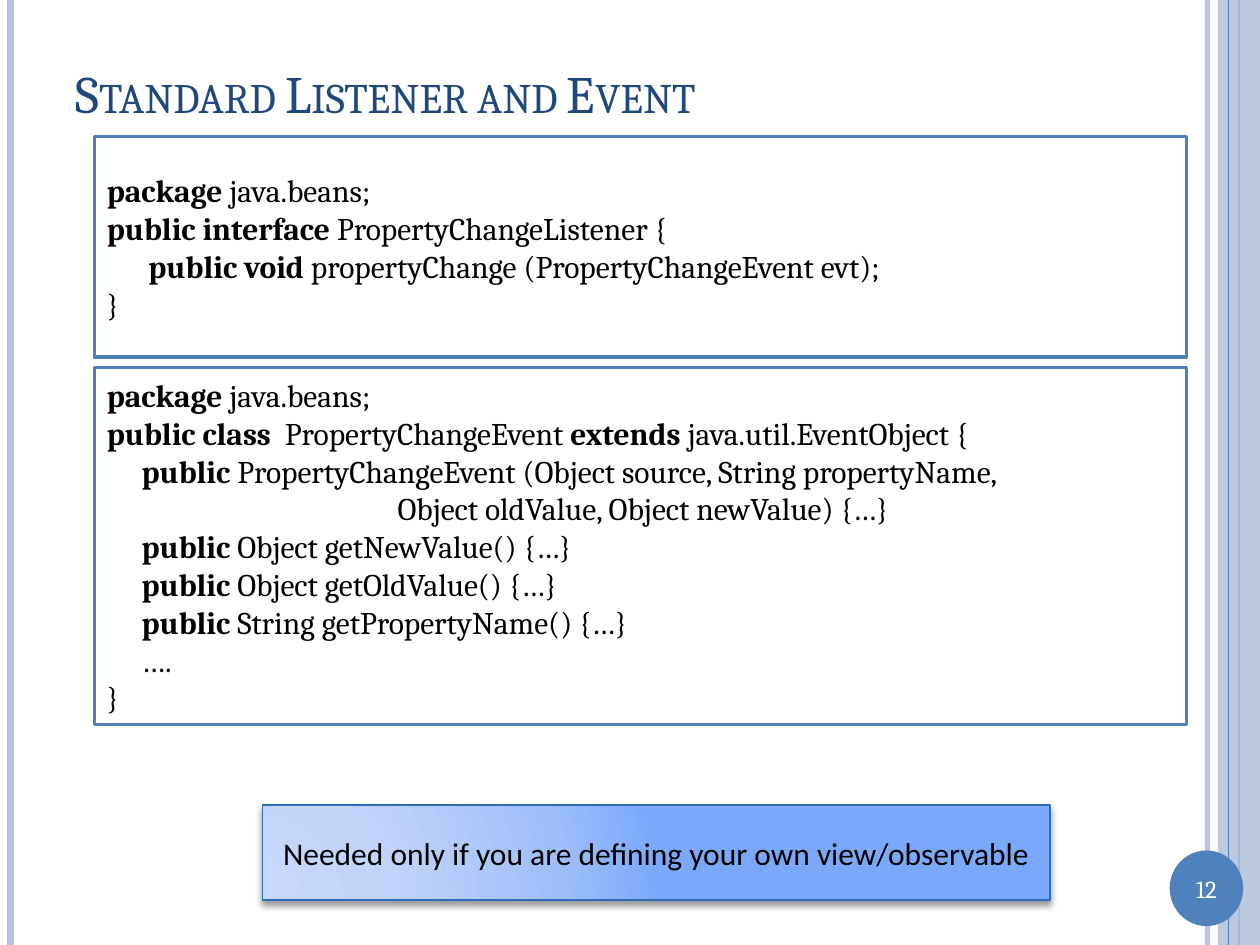
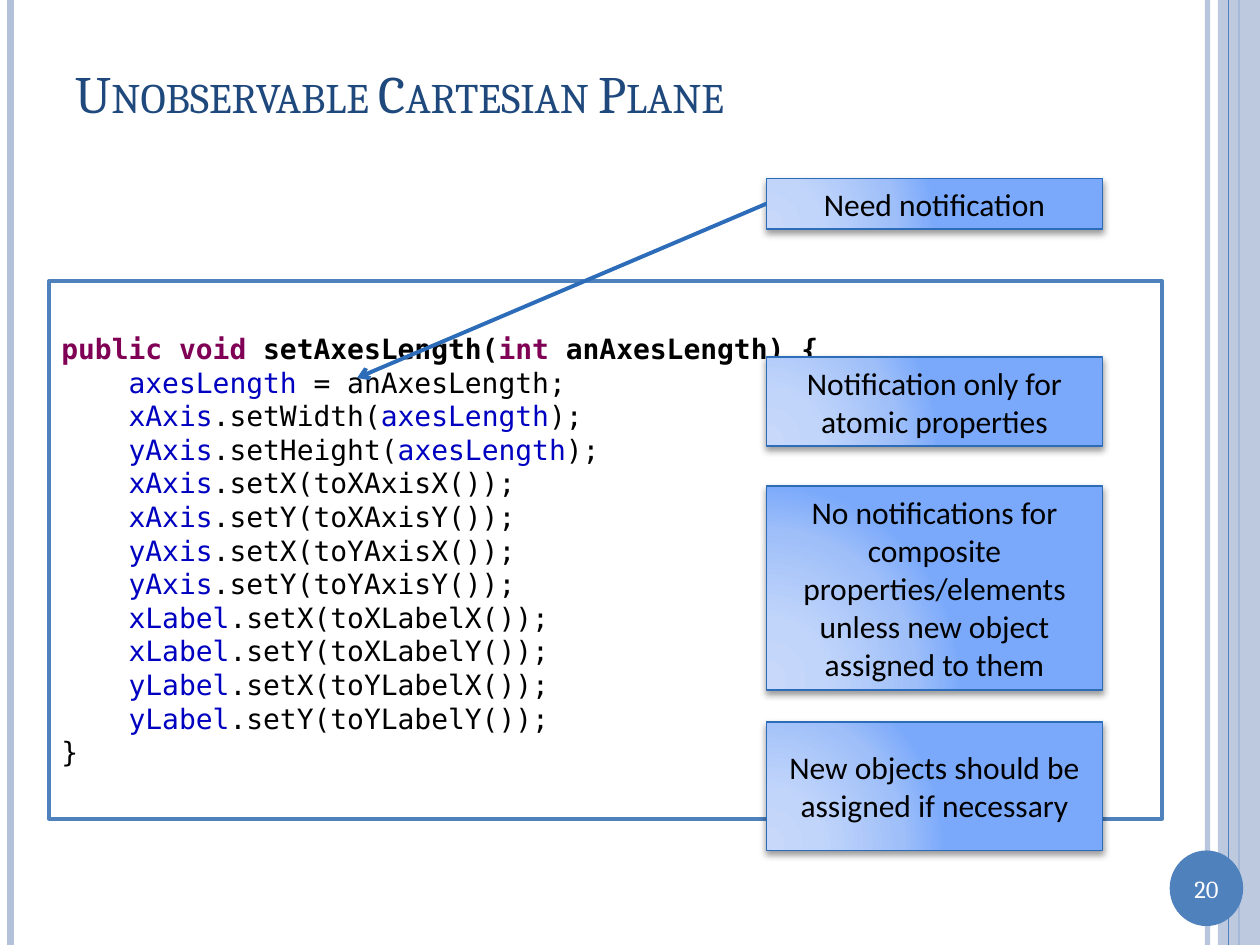
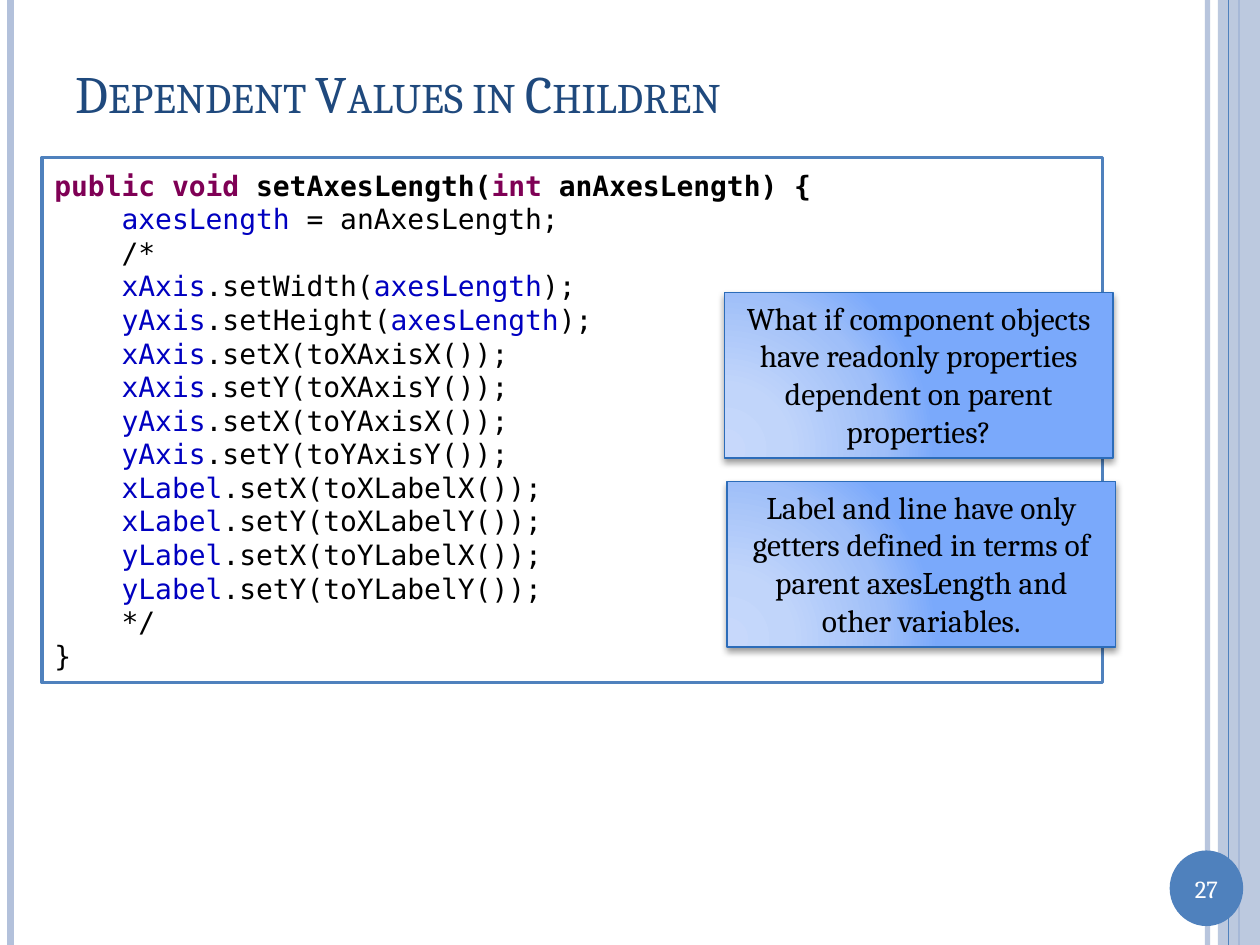
from lxml import etree
from pptx import Presentation
from pptx.dml.color import RGBColor
from pptx.enum.shapes import MSO_CONNECTOR, MSO_SHAPE
from pptx.enum.text import MSO_ANCHOR, PP_ALIGN
from pptx.oxml import parse_xml
from pptx.oxml.ns import nsdecls, qn
from pptx.util import Inches, Pt

RECTANGLE, OVAL, STRAIGHT = MSO_SHAPE.RECTANGLE, MSO_SHAPE.OVAL, MSO_CONNECTOR.STRAIGHT
LEFT, CENTER = PP_ALIGN.LEFT, PP_ALIGN.CENTER
TOP, MIDDLE = MSO_ANCHOR.TOP, MSO_ANCHOR.MIDDLE
COLUMNS, ROWS = 120, 90

NAVY, BLUE, PALE, NOTE_EDGE = "1F497D", "4F81BD", "B3C1DB", "2C6CB9"
WHITE, BLACK, KEYWORD, FIELD = "FFFFFF", "000000", "7F0055", "0000C0"

SERIF = {"name": "Cambria", "size": Pt(18), "color": BLACK, "bold": False}
SANS = SERIF | {"name": "Calibri"}
MONO = SERIF | {"name": "DejaVu Sans Mono", "size": Pt(16)}
NOTE = {"shape": RECTANGLE, "fill": "gradient", "line": (NOTE_EDGE, 1), "align": CENTER}
THEME = {
    "text": {
        "title": (SERIF | {"size": Pt(30), "color": NAVY},),
        "number": (SERIF | {"size": Pt(14), "color": WHITE},),
        "java": (SERIF, SERIF | {"bold": True}),
        "signature": (MONO | {"bold": True}, MONO | {"bold": True, "color": KEYWORD}),
        "body": (MONO, MONO | {"color": FIELD}),
        "sans": (SANS,),
        "serif": (SERIF,),
    },
    "box": {
        "title": {"shape": None, "align": LEFT, "anchor": MIDDLE, "inset": (0.1, 0.05)},
        "band": {"shape": RECTANGLE, "fill": PALE, "alpha": 87},
        "badge": {"shape": OVAL, "fill": BLUE, "align": CENTER, "anchor": MIDDLE, "inset": (0, 0)},
        "code": {"shape": RECTANGLE, "fill": WHITE, "line": (BLUE, 2), "align": LEFT,
                 "anchor": MIDDLE, "inset": (0.1, 0.05)},
        "note": NOTE | {"anchor": MIDDLE, "inset": (0.05, 0.05)},
        "question": NOTE | {"anchor": TOP, "inset": (0.1, 0.05)},
    },
    "line": {
        "soft": {"color": PALE, "width": 3, "alpha": 93},
        "thick": {"color": PALE, "width": 4.5},
        "medium": {"color": BLUE, "width": 1.5},
        "thin": {"color": BLUE, "width": 0.75},
        "pointer": {"color": NOTE_EDGE, "width": 2.25, "arrow": "arrow"},
    },
    "gradient": [(0, "C7D8FB"), (30, "C1D5FA"), (75, "9FBFF9"), (100, "7AA9FB")],
}

presentation = Presentation()
presentation.slide_width, presentation.slide_height = Inches(10), Inches(7.5)
column = presentation.slide_width / COLUMNS
row = presentation.slide_height / ROWS

stops = "".join(f'<a:gs pos="{share * 1000}"><a:srgbClr val="{color}"/></a:gs>'
                for share, color in THEME["gradient"])
gradient_xml = (f'<a:gradFill {nsdecls("a")} rotWithShape="1"><a:gsLst>{stops}</a:gsLst>'
                '<a:path path="circle"><a:fillToRect l="5000" t="100000" r="120000" b="10000"/>'
                '</a:path></a:gradFill>')
shadow_xml = (f'<a:outerShdw {nsdecls("a")} blurRad="50800" dist="25400" dir="5400000" '
              'rotWithShape="0"><a:srgbClr val="000000"><a:alpha val="40000"/></a:srgbClr>'
              '</a:outerShdw>')


def add_box(slide, kind, place, lines=()):
    style = THEME["box"][kind]
    left, top, width, height = place
    area = [round(length) for length in (left * column, top * row, width * column, height * row)]
    if style["shape"] is None:
        shape = slide.shapes.add_textbox(*area)
    else:
        shape = slide.shapes.add_shape(style["shape"], *area)
        shape.shadow.inherit = False
        properties = shape._element.spPr
        if style["fill"] == "gradient":
            shape.fill.background()
            properties.replace(properties.find(qn("a:noFill")), parse_xml(gradient_xml))
            properties.find(qn("a:effectLst")).append(parse_xml(shadow_xml))
        else:
            shape.fill.solid()
            shape.fill.fore_color.rgb = RGBColor.from_string(style["fill"])
        if "alpha" in style:
            color = properties.find(".//" + qn("a:srgbClr"))
            etree.SubElement(color, qn("a:alpha"), val=str(style["alpha"] * 1000))
        if "line" in style:
            shape.line.color.rgb = RGBColor.from_string(style["line"][0])
            shape.line.width = Pt(style["line"][1])
        else:
            shape.line.fill.background()
    if not lines:
        return
    frame = shape.text_frame
    side, edge = (Inches(length) for length in style["inset"])
    settings = {"word_wrap": True, "vertical_anchor": style["anchor"], "margin_left": side,
                "margin_right": side, "margin_top": edge, "margin_bottom": edge}
    for name, value in settings.items():
        setattr(frame, name, value)
    for index, (text_style, text) in enumerate(lines):
        paragraph = frame.add_paragraph() if index else frame.paragraphs[0]
        paragraph.alignment = style["align"]
        for position, piece in enumerate(text.split("`")):
            if not piece:
                continue
            run = paragraph.add_run()
            run.text = piece
            for name, value in THEME["text"][text_style][position % 2].items():
                if name == "color":
                    run.font.color.rgb = RGBColor.from_string(value)
                else:
                    setattr(run.font, name, value)
            if text_style == "title":
                run._r.get_or_add_rPr().set("cap", "small")


def add_line(slide, kind, start, end):
    style = THEME["line"][kind]
    points = [round(length) for x, y in (start, end) for length in (x * column, y * row)]
    connector = slide.shapes.add_connector(STRAIGHT, *points)
    connector.line.color.rgb = RGBColor.from_string(style["color"])
    connector.line.width = Pt(style["width"])
    properties = connector._element.spPr
    if "alpha" in style:
        color = properties.find(".//" + qn("a:srgbClr"))
        etree.SubElement(color, qn("a:alpha"), val=str(style["alpha"] * 1000))
    if "arrow" in style:
        etree.SubElement(properties.find(qn("a:ln")), qn("a:tailEnd"), type=style["arrow"])
    etree.SubElement(properties, qn("a:effectLst"))


listener = [
    "`package `java.beans;",
    "`public interface `PropertyChangeListener {",
    "      `public void `propertyChange (PropertyChangeEvent evt);",
    "}",
]
event = [
    "`package `java.beans;",
    "`public class  `PropertyChangeEvent `extends `java.util.EventObject {",
    "     `public `PropertyChangeEvent (Object source, String propertyName,",
    "                                          Object oldValue, Object newValue) {…}",
    "     `public` Object getNewValue() {…}",
    "     `public` Object getOldValue() {…}",
    "     `public` String getPropertyName() {…}",
    "     ….",
    "}",
]
signature = [("signature", "`public void `setAxesLength(`int `anAxesLength) {")]
assignment = ["`    axesLength` = anAxesLength;"]
setters = ["`    xAxis`.setWidth(`axesLength`);", "`    yAxis`.setHeight(`axesLength`);"]
for part in ("Axis", "Label"):
    for axis in "xy":
        for coordinate in "XY":
            setters.append(f"`    {axis}{part}`.set{coordinate}(to{axis.upper()}{part}{coordinate}());")
unobservable = signature + [("body", line) for line in assignment + setters + ["}"]]
dependent = signature + [("body", line) for line in
                         assignment + ["    /*"] + setters + ["    */", "}"]]

pages = [
    (12, "Standard Listener and Event", [
        ("code", (9, 13, 104, 21), [("java", line) for line in listener]),
        ("code", (9, 35, 104, 34), [("java", line) for line in event]),
        ("note", (25, 76.7, 75, 9),
         [("sans", "Needed only if you are defining your own view/observable")]),
    ], []),
    (20, "Unobservable Cartesian Plane", [
        ("code", (4.67, 26.75, 106, 51.25), unobservable),
        ("note", (73, 17, 32, 4.8), [("sans", "Need notification")]),
        ("note", (73, 34, 32, 8.5), [("sans", "Notification only for atomic properties")]),
        ("note", (73, 46.3, 32, 19.4),
         [("sans", "No notifications for composite properties/elements "
                   "unless new object assigned to them")]),
        ("note", (73, 68.75, 32, 12.25),
         [("sans", "New objects should be assigned if necessary")]),
    ], [("pointer", (73, 19.4), (34, 36))]),
    (27, "Dependent Values in Children", [
        ("code", (4, 15, 101, 50), dependent),
        ("question", (69, 27.85, 37, 15.75),
         [("serif", "What if component objects have readonly properties "
                    "dependent on parent properties?")]),
        ("question", (69.25, 45.85, 37, 15.75),
         [("serif", "Label and line have only getters defined in terms of "
                    "parent axesLength and other variables.")]),
    ], []),
]

for number, title, boxes, pointers in pages:
    slide = presentation.slides.add_slide(presentation.slide_layouts[6])
    for kind, x in (("soft", 115), ("thick", 1), ("medium", 118)):
        add_line(slide, kind, (x, 0), (x, ROWS))
    add_box(slide, "band", (116, 0, 4, ROWS))
    add_line(slide, "thin", (117, 0), (117, ROWS))
    add_box(slide, "badge", (111.4, 81, 7, 7.2), [("number", str(number))])
    add_box(slide, "title", (6, 3.6, 104, 10.4), [("title", title)])
    for kind, place, lines in boxes:
        add_box(slide, kind, place, lines)
    for kind, start, end in pointers:
        add_line(slide, kind, start, end)

presentation.save("out.pptx")
